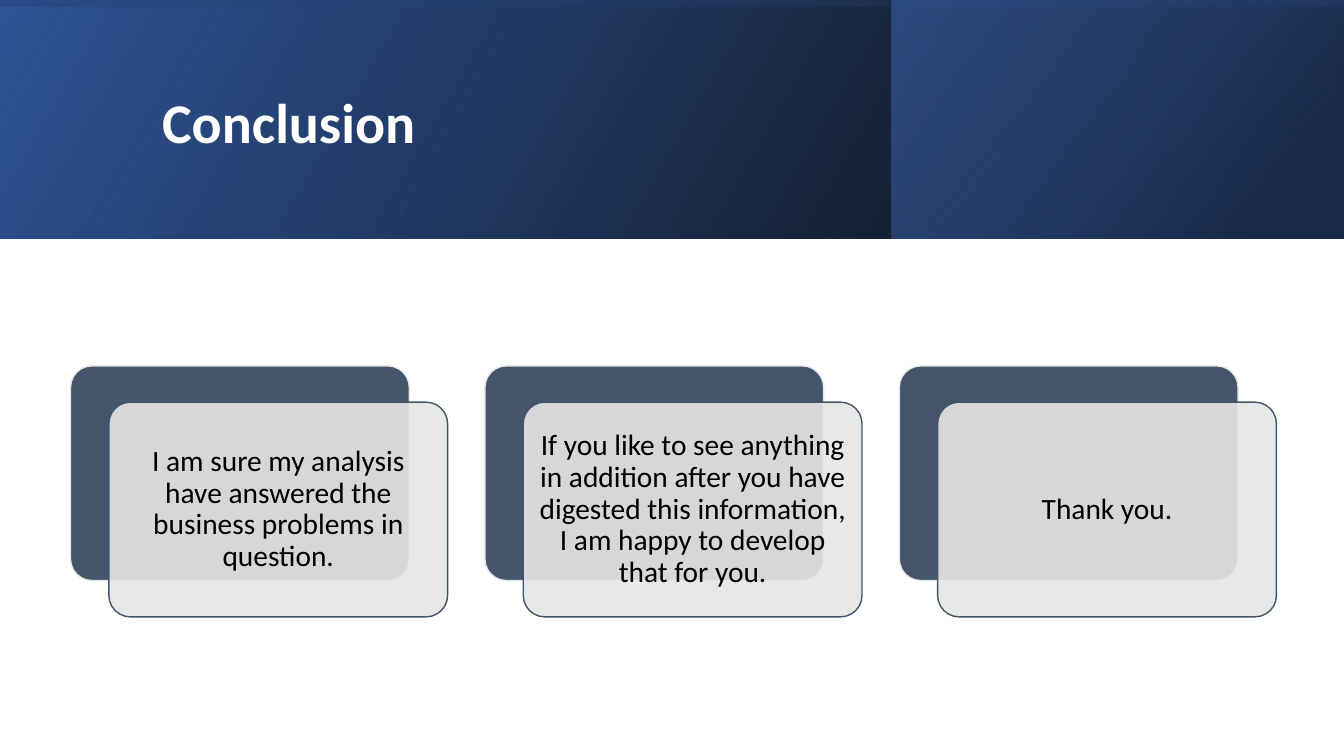
from pptx import Presentation, util as u
from pptx.dml.color import RGBColor
from pptx.enum import shapes, text
from pptx.oxml import parse_xml
from pptx.oxml.ns import nsdecls, qn
from lxml import etree

PX = 9144
NAVY = "44546A"
PALE = "E7E6E6"
BLUE = "2F5597"


def px(*sizes):
    return [u.Emu(size * PX) for size in sizes]


def paint(hue):
    return RGBColor.from_string(hue)


class Deck:
    font = "Calibri"

    def __init__(self, wide, high):
        self.prs = Presentation()
        self.prs.slide_width, self.prs.slide_height = px(wide, high)
        self.slide = self.prs.slides.add_slide(self.prs.slide_layouts[6])

    def shape(self, kind, box):
        item = self.slide.shapes.add_shape(kind, *px(*box))
        item.shadow.inherit = False
        return item

    def band(self, box, stops, angle, turn=0):
        item = self.shape(shapes.MSO_SHAPE.RECTANGLE, box)
        item.line.fill.background()
        item.rotation = turn
        props = item._element.spPr
        props.find(qn("a:xfrm")).set("flipH", "1")
        marks = "".join(
            f'<a:gs pos="{pos * 1000}"><a:srgbClr val="{hue}">'
            f'<a:alpha val="{alpha * 1000}"/></a:srgbClr></a:gs>'
            for pos, hue, alpha in stops)
        props.insert(2, parse_xml(
            f'<a:gradFill {nsdecls("a")} rotWithShape="1"><a:gsLst>{marks}</a:gsLst>'
            f'<a:lin ang="{angle * 60000}" scaled="0"/></a:gradFill>'))

    def card(self, box, fill, edge, alpha=100):
        item = self.shape(shapes.MSO_SHAPE.ROUNDED_RECTANGLE, box)
        item.adjustments[0] = 0.1
        item.fill.solid()
        item.fill.fore_color.rgb = paint(fill)
        item.line.color.rgb = paint(edge)
        item.line.width = u.Pt(1)
        if alpha < 100:
            hue = item._element.spPr.find(qn("a:solidFill"))[0]
            etree.SubElement(hue, qn("a:alpha")).set("val", str(alpha * 1000))

    def label(self, box, words, size, hue, align, inset, bold=False):
        frame = self.slide.shapes.add_textbox(*px(*box)).text_frame
        frame.word_wrap = True
        frame.vertical_anchor = text.MSO_ANCHOR.MIDDLE
        frame.margin_left, frame.margin_top, frame.margin_right, frame.margin_bottom = px(*inset)
        para = frame.paragraphs[0]
        para.text = words
        para.alignment = align
        para.line_spacing = 0.9
        para.font.name = self.font
        para.font.size = u.Pt(size)
        para.font.bold = bold
        para.font.color.rgb = paint(hue)


def main():
    deck = Deck(1333, 750)
    deck.band((0, 0, 1333, 237), [(0, "000000", 96), (100, BLUE, 100)], 330)
    deck.band((884, 0, 448, 237), [(19, "203864", 68), (100, "4472C4", 48)], 320)
    deck.band((548, -548, 237, 1333), [(23, BLUE, 16), (99, "000000", 45)], 350, 270)
    deck.label((151, 38, 1063, 172), "Conclusion", 40, "FFFFFF",
               text.PP_ALIGN.LEFT, (10, 5, 10, 5), True)

    notes = [
        "I am sure my analysis have answered the business problems in question.",
        "If you like to see anything in addition after you have digested this "
        "information, I am happy to develop that for you.",
        "Thank you.",
    ]
    for col, note in enumerate(notes):
        left = 70 + col * 411
        deck.card((left, 363, 336, 213), NAVY, PALE)
        deck.card((left + 38, 399, 336, 213), PALE, NAVY, 90)
        deck.label((left + 44, 405, 324, 201), note, 21, "000000",
                   text.PP_ALIGN.CENTER, (9, 9, 9, 9))
    deck.prs.save("out.pptx")


if __name__ == "__main__":
    main()
